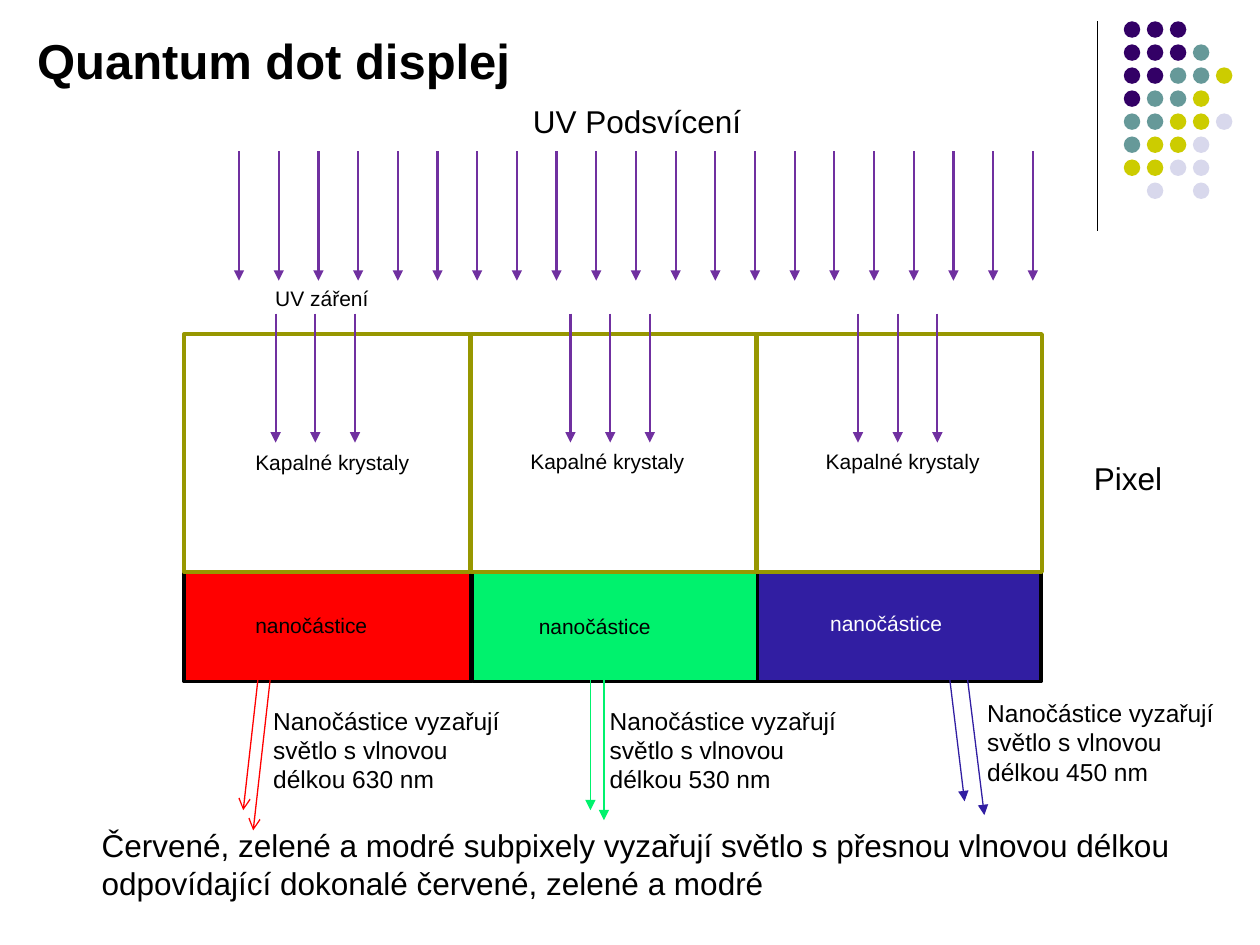
"""Build the quantum dot display slide."""
from lxml import etree
from pptx import Presentation
from pptx.dml.color import RGBColor
from pptx.enum.shapes import MSO_CONNECTOR, MSO_SHAPE
from pptx.enum.text import MSO_AUTO_SIZE
from pptx.oxml.ns import qn
from pptx.util import Pt

LINE = MSO_CONNECTOR.STRAIGHT
RECT, OVAL = MSO_SHAPE.RECTANGLE, MSO_SHAPE.OVAL
FIT = MSO_AUTO_SIZE.SHAPE_TO_FIT_TEXT

COLORS = {
    "black": "000000", "white": "FFFFFF", "olive": "979700", "uv": "7030A0",
    "red": "FF0000", "green": "00F26D", "blue": "311EA2",
    "P": "330066", "T": "669999", "Y": "CCCC00", "L": "D8D8EC",
}

DOTS = ["PPP", "PPPT", "PPTTY", "PTTY", "TTYYL", "TYYL", "YYLL", " L L"]
DOT_LEFT, DOT_TOP, DOT_STEP, DOT_SIZE = 642.2, 12.2, 13.16, 9.4

UV_STEP, UV_COUNT, UV_LEFT = 22.68, 21, 136.6
UV_TOP, UV_BOTTOM = 86.4, 160.4
CELL_UV_COUNT, CELL_UV_TOP, CELL_UV_BOTTOM = 3, 179.2, 252.9
CELL_TOP, CELL_WIDTH, CELL_HEIGHT = 190.8, 163.5, 136.1
DOT_LAYER_TOP, DOT_LAYER_HEIGHT = 326.9, 62.6

SUBPIXELS = [
    dict(color="red", text_color="black", nm=630, cell=105.1, layer=(105.1, 164.2), uv=157.5,
         crystal=(138.8, 253.5), particle=(138.8, 346.2), note=(149, 399.6), head="arrow",
         rays=[(150.5, 360.7, 139, 463), (156.2, 372.2, 144.7, 474.5)]),
    dict(color="green", text_color="black", nm=530, cell=269.2, layer=(270, 164.2), uv=326,
         crystal=(296, 252.8), particle=(300.8, 347.2), note=(341.3, 399.6), head="triangle",
         rays=[(337.4, 372.2, 337.4, 463), (345.1, 378, 345.1, 468.7)]),
    dict(color="blue", text_color="white", nm=450, cell=432, layer=(432.9, 162), uv=490.3,
         crystal=(464.8, 252.8), particle=(467.3, 345.4), note=(557, 395.2), head="triangle",
         rays=[(540.2, 367.2, 551.2, 457.9), (551.3, 375.1, 562.5, 465.8)]),
]

LABELS = [
    ("Quantum dot displej", (14.2, 13.6, 304, 41.2), 28, True),
    ("UV Podsvícení", (297.5, 55, 136, 29), 18, False),
    ("UV záření", (150.2, 159.4, 91, 21.8), 12, False),
    ("Pixel", (618, 258.6, 108, 29), 18, False),
    ("Červené, zelené a modré subpixely vyzařují světlo s přesnou vlnovou délkou "
     "odpovídající dokonalé červené, zelené a modré", (51, 468.7, 669, 51), 18, False),
]


def rgb(name):
    return RGBColor.from_string(COLORS[name])


def add_text(s, text, *, box, size, color="black", bold=False):
    tf = s.shapes.add_textbox(*map(Pt, box)).text_frame
    tf.word_wrap = True
    tf.auto_size = FIT
    r = tf.paragraphs[0].add_run()
    r.text = text
    r.font.name, r.font.size, r.font.bold = "Arial", Pt(size), bold
    r.font.color.rgb = rgb(color)


def add_box(s, kind, box, fill=None, line=None):
    sp = s.shapes.add_shape(kind, *map(Pt, box))
    sp.shadow.inherit = False
    if fill:
        sp.fill.solid()
        sp.fill.fore_color.rgb = rgb(fill)
    else:
        sp.fill.background()
    if line:
        sp.line.color.rgb = rgb(line)
        sp.line.width = Pt(2)
    else:
        sp.line.fill.background()


def add_line(s, ends, color, width, head=None):
    c = s.shapes.add_connector(LINE, *map(Pt, ends))
    c.line.color.rgb = rgb(color)
    c.line.width = Pt(width)
    if head:
        etree.SubElement(c.line._get_or_add_ln(), qn("a:tailEnd"), type=head)
    etree.SubElement(c._element.spPr, qn("a:effectLst"))


def add_uv_row(s, left, top, bottom, count):
    for i in range(count):
        x = left + i * UV_STEP
        add_line(s, (x, top, x, bottom), "uv", 1.25, "triangle")


def main():
    prs = Presentation()
    prs.slide_width, prs.slide_height = Pt(720), Pt(540)
    s = prs.slides.add_slide(prs.slide_layouts[6])

    add_line(s, (627.1, 12.2, 627.1, 131.8), "black", 0.75)
    for row, dots in enumerate(DOTS):
        for col, dot in enumerate(dots):
            if dot != " ":
                x, y = DOT_LEFT + col * DOT_STEP, DOT_TOP + row * DOT_STEP
                add_box(s, OVAL, (x, y, DOT_SIZE, DOT_SIZE), fill=dot)

    for sub in SUBPIXELS:
        x, w = sub["layer"]
        add_box(s, RECT, (x, DOT_LAYER_TOP, w, DOT_LAYER_HEIGHT), sub["color"], "black")
    for sub in SUBPIXELS:
        add_box(s, RECT, (sub["cell"], CELL_TOP, CELL_WIDTH, CELL_HEIGHT), line="olive")

    add_uv_row(s, UV_LEFT, UV_TOP, UV_BOTTOM, UV_COUNT)
    for sub in SUBPIXELS:
        add_uv_row(s, sub["uv"], CELL_UV_TOP, CELL_UV_BOTTOM, CELL_UV_COUNT)
        for ray in sub["rays"]:
            add_line(s, ray, sub["color"], 0.75, sub["head"])
        add_text(s, "Kapalné krystaly", box=(*sub["crystal"], 108, 21.8), size=12)
        add_text(s, "nanočástice", box=(*sub["particle"], 108, 21.8), size=12,
                 color=sub["text_color"])
        add_text(s, f"Nanočástice vyzařují světlo s vlnovou délkou {sub['nm']} nm",
                 box=(*sub["note"], 146, 58.2), size=14)

    for text, box, size, bold in LABELS:
        add_text(s, text, box=box, size=size, bold=bold)
    prs.save("out.pptx")


if __name__ == "__main__":
    main()
